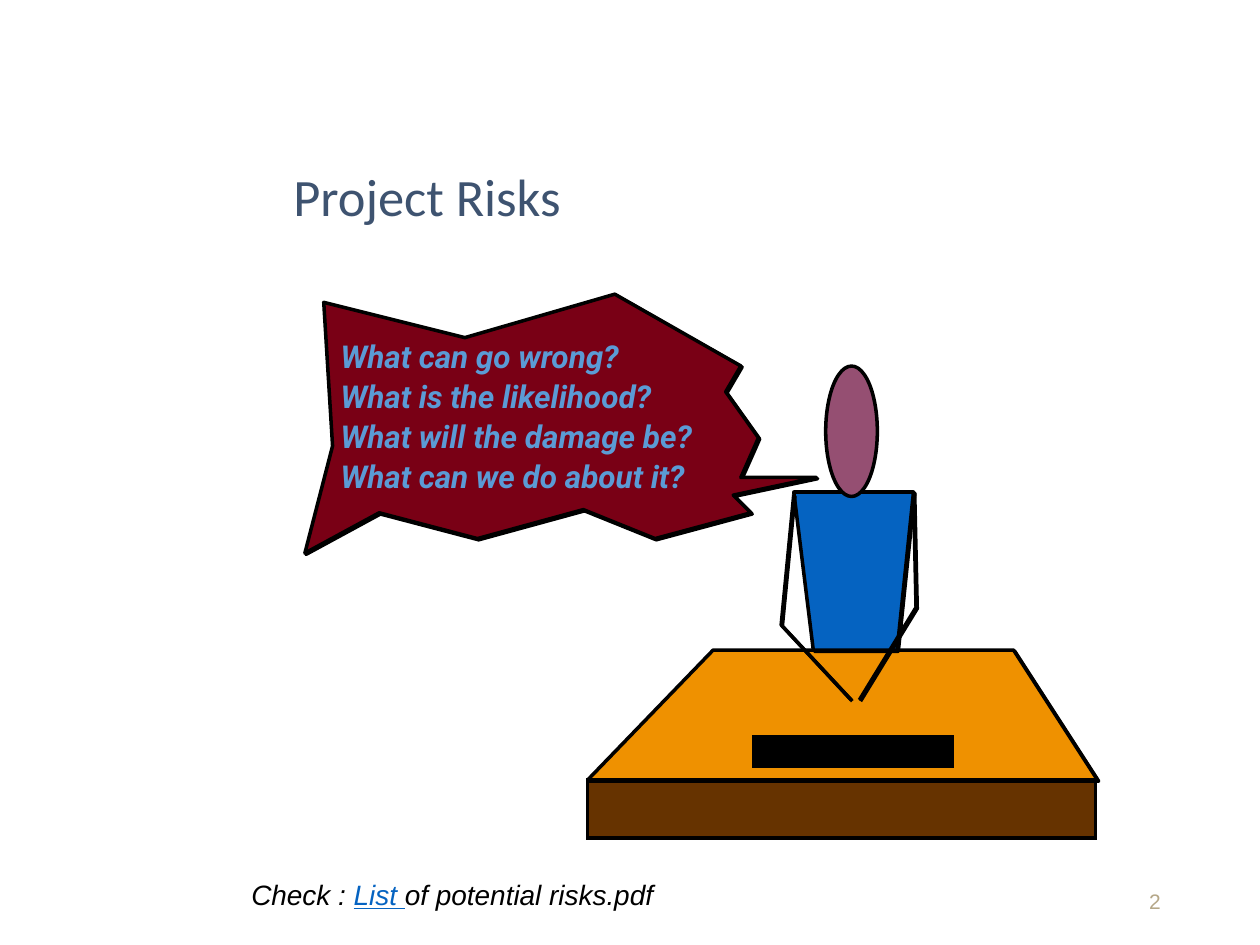
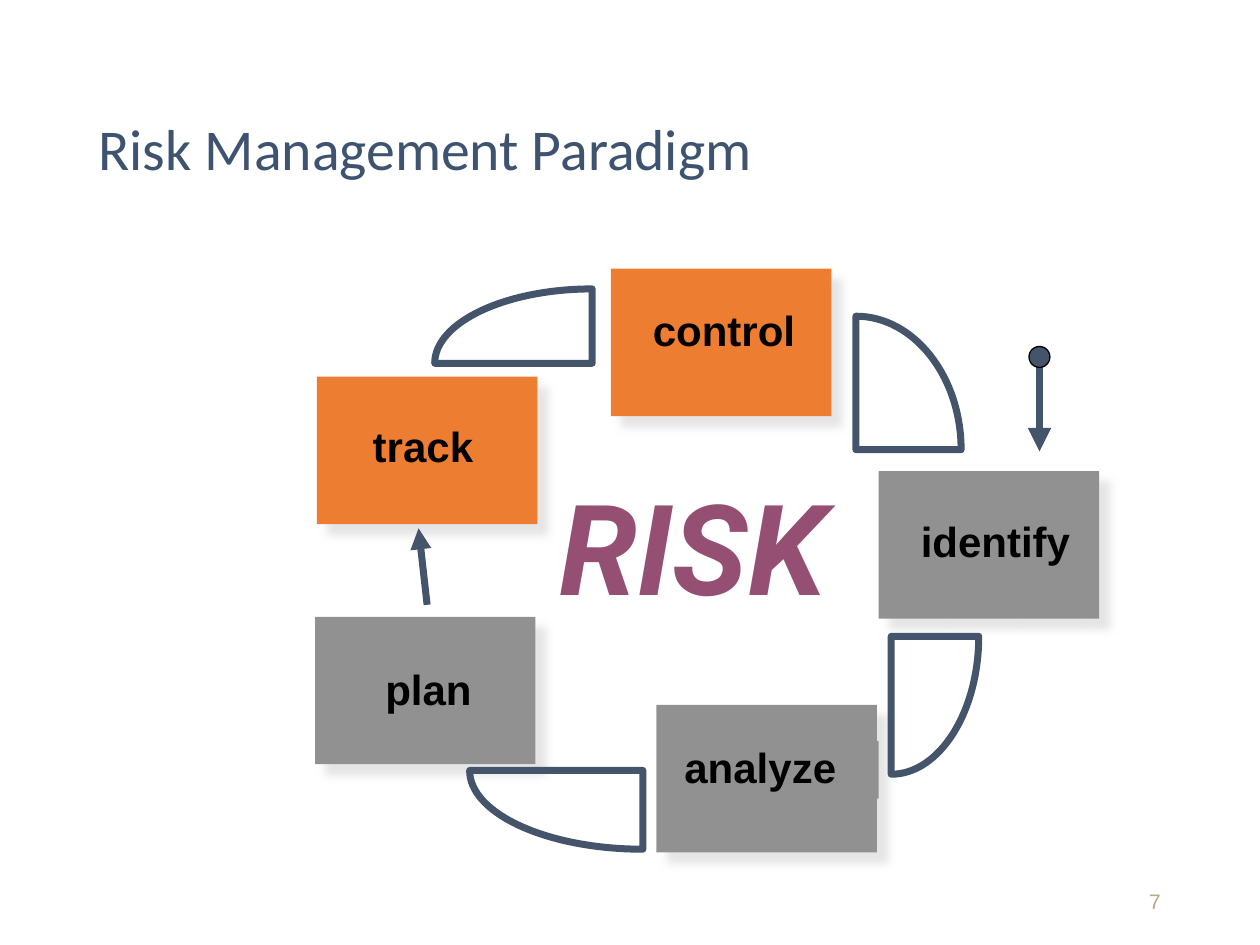
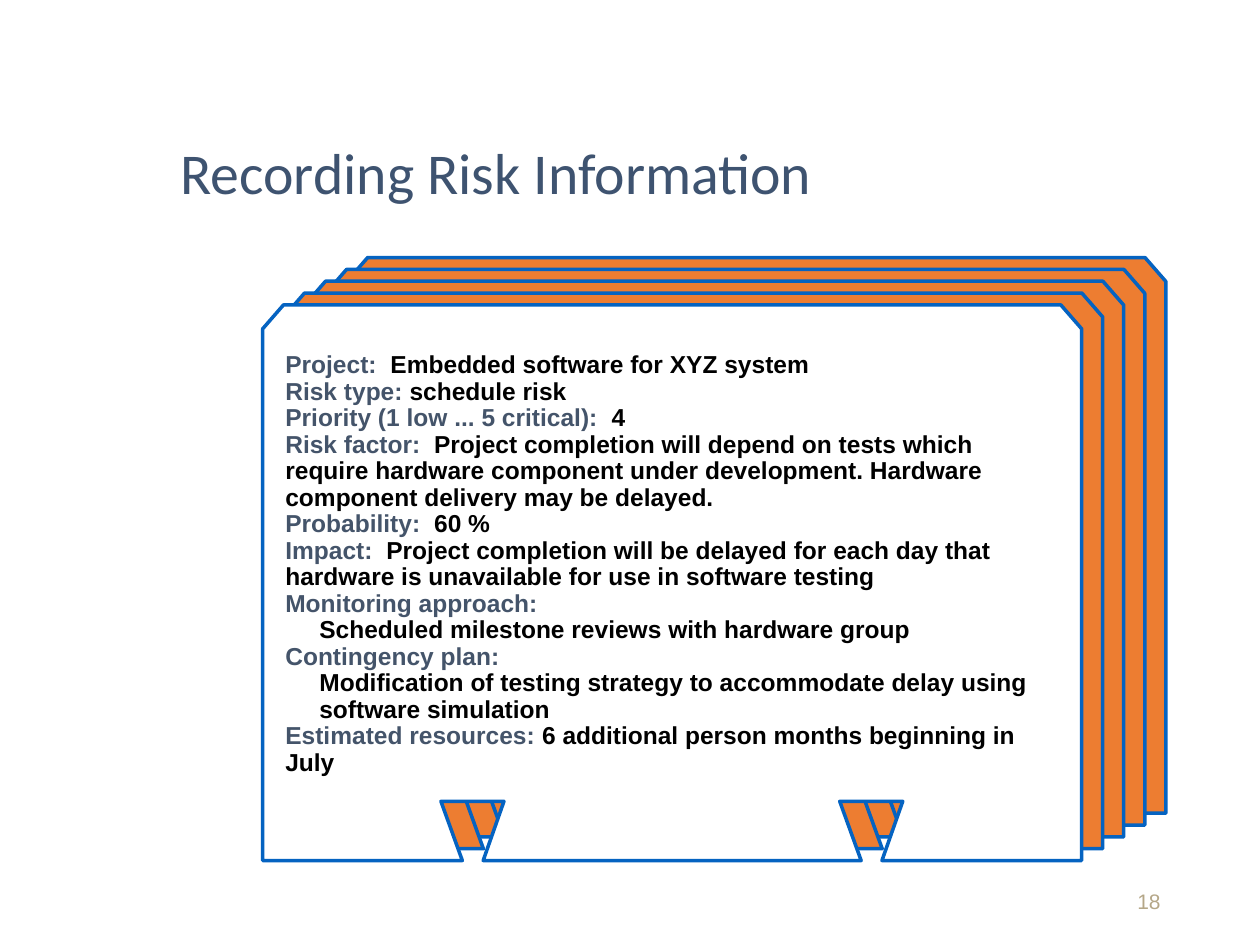
"""Build three slides about project risk: questions, paradigm and record card."""
import dataclasses

import lxml.etree
import pptx
import pptx.dml.color
import pptx.enum.shapes
import pptx.enum.text
import pptx.oxml.ns
import pptx.util


@dataclasses.dataclass(frozen=True)
class Style:
    size: int
    colors: tuple
    font: str = "Arial"
    bold: bool = False
    italic: bool = False
    spacing: float = 1.0


@dataclasses.dataclass(frozen=True)
class Theme:
    black: str = "000000"
    white: str = "FFFFFF"
    blue: str = "0563C1"
    slate: str = "44546A"
    orange: str = "ED7D31"
    gray: str = "919191"
    plum: str = "954F72"
    maroon: str = "790015"
    amber: str = "EF9100"
    brown: str = "663300"
    shade: str = "E7E6E6"
    small_title: Style = Style(30, ("3E5370",), "Calibri", spacing=0.9)
    title: Style = Style(33, ("3E5370",), "Calibri", spacing=0.9)
    number: Style = Style(12, ("B5A788",))
    question: Style = Style(18, ("5B9BD5",), "Roboto", True, True)
    reference: Style = Style(16, ("000000", "0563C1", "000000"), italic=True)
    center: Style = Style(72, ("954F72",), "Roboto", True, True, 0.9)
    label: Style = Style(24, ("000000",), bold=True, spacing=0.9)
    record: Style = Style(14, ("44546A", "000000"), bold=True, spacing=0.9)


theme = Theme()
qualified = pptx.oxml.ns.qn
rgb = pptx.dml.color.RGBColor.from_string
preset = pptx.enum.shapes.MSO_SHAPE
anchors = pptx.enum.text.MSO_ANCHOR
aligns = pptx.enum.text.PP_ALIGN
presentation = pptx.Presentation()
presentation.slide_width = pptx.util.Inches(10)
presentation.slide_height = pptx.util.Inches(7.5)
column = presentation.slide_width / 100
row = presentation.slide_height / 75


def draw(slide, geometry, fill=None, line=None, weight=2, kind=None, closed=True):
    """Draw a preset in a box, or an outline through points, in grid units."""
    if kind is not None:
        left, top, width, height = geometry
        shape = slide.shapes.add_shape(
            kind, round(left * column), round(top * row), round(width * column), round(height * row))
    else:
        points = [(round(x * column), round(y * row)) for x, y in geometry]
        builder = slide.shapes.build_freeform(*points[0])
        builder.add_line_segments(points[1:], close=closed)
        shape = builder.convert_to_shape()
    shape.shadow.inherit = False
    for color, target in ((fill, shape.fill), (line, shape.line.fill)):
        if color:
            target.solid()
            target.fore_color.rgb = rgb(color)
        else:
            target.background()
    if line:
        shape.line.width = pptx.util.Pt(weight)
    return shape


def write(slide, box, lines, style, anchor=anchors.TOP, align=aligns.LEFT):
    """Write lines, each a tuple of pieces that take the style's colours in turn."""
    left, top, width, height = box
    shape = slide.shapes.add_textbox(
        round(left * column), round(top * row), round(width * column), round(height * row))
    frame = shape.text_frame
    frame.word_wrap = True
    frame.vertical_anchor = anchor
    frame.text = "\n".join(pieces[0] for pieces in lines)
    for paragraph, pieces in zip(frame.paragraphs, lines):
        paragraph.alignment = align
        paragraph.line_spacing = style.spacing
        for piece in pieces[1:]:
            paragraph.add_run().text = piece
        for run, color in zip(paragraph.runs, style.colors):
            run.font.name = style.font
            run.font.size = pptx.util.Pt(style.size)
            run.font.bold = style.bold
            run.font.italic = style.italic
            run.font.color.rgb = rgb(color)
    return shape


slides = []
for title, title_box, title_style, number in (
    ("Project Risks", (22.3, 14.2, 58.5, 3.3), theme.small_title, "2"),
    ("Risk Management Paradigm", (6.83, 7.8, 80.4, 8.5), theme.title, "7"),
    ("Recording Risk Information", (13.34, 10.83, 70.8, 6.2), theme.title, "18"),
):
    slide = presentation.slides.add_slide(presentation.slide_layouts[6])
    write(slide, title_box, [(title,)], title_style, anchors.MIDDLE)
    write(slide, (70.6, 69.5, 22.5, 4), [(number,)], theme.number, anchors.MIDDLE, aligns.RIGHT)
    slides.append(slide)
risks_slide, paradigm_slide, record_slide = slides

callout = [
    (64.8, 37.9), (58.2, 39.3), (59.6, 40.7), (52, 42.75), (46.3, 40.45), (37.9, 42.75),
    (30.1, 40.7), (24.2, 43.9), (26.4, 35.4), (25.7, 24), (36.9, 26.8), (48.8, 23.35),
    (58.8, 29.05), (57.6, 31.1), (60.2, 34.75), (58.8, 37.9), (64.5, 37.9),
]
desk_top = [(46.65, 61.9), (56.6, 51.6), (80.45, 51.6), (87.1, 61.9)]
body = [(63, 39.05), (72.5, 39.05), (71.2, 51.6), (64.55, 51.6)]
left_arm = [(63, 39.25), (62, 49.6), (67.55, 55.55)]
right_arm = [(72.5, 39.05), (72.7, 48.2), (68.2, 55.55)]

desk_front = draw(
    risks_slide, (46.64, 61.87, 40.3, 4.65), theme.brown, theme.black, kind=preset.RECTANGLE)
for outline, fill in (
    (callout, theme.maroon), (desk_top, theme.amber), (body, theme.blue),
    (left_arm, None), (right_arm, None),
):
    for offset, layer_fill in ((0.1, None), (0, fill)):
        points = [(x + offset, y + offset) for x, y in outline]
        draw(risks_slide, points, layer_fill, theme.black, closed=fill is not None)
draw(risks_slide, (65.53, 29.05, 4.1, 10.35), theme.plum, theme.black, kind=preset.OVAL)
desk_slot = draw(
    risks_slide, (59.83, 58.45, 15.75, 2.4), theme.black, theme.black, kind=preset.RECTANGLE)
for rectangle in (desk_front, desk_slot):
    lxml.etree.SubElement(
        rectangle.line._get_or_add_ln(), qualified("a:miter"), lim="800000")

for index, question in enumerate((
    "What can go wrong?", "What is the likelihood?",
    "What will the damage be?", "What can we do about it?",
)):
    write(risks_slide, (26.05, 26.26 + 3.17 * index, 33, 4), [(question,)], theme.question)
reference = write(risks_slide, (18.96, 69.15, 35, 3.7),
                  [("Check : ", "List ", "of potential risks.pdf")], theme.reference)
reference.text_frame.paragraphs[0].runs[1].font.underline = True

write(paradigm_slide, (43.4, 38.1, 26.1, 11.9), [("RISK",)], theme.center)
for name, left, top, fill, label_left, label_top, label_width in (
    ("identify", 69.74, 37.4, theme.gray, 72.1, 40.9, 15.2),
    ("control", 48.48, 21.33, theme.orange, 50.83, 24.15, 15.8),
    ("track", 25.15, 29.9, theme.orange, 28.6, 33.35, 15.2),
    ("plan", 25, 48.96, theme.gray, 29.6, 52.6, 11.8),
    ("analyze", 52.1, 55.95, theme.gray, 53.34, 58.8, 16.4),
):
    tile = draw(paradigm_slide, (left, top, 17.5, 11.7), fill, kind=preset.RECTANGLE)
    effects = tile._element.spPr.find(qualified("a:effectLst"))
    shadow = lxml.etree.SubElement(
        effects, qualified("a:outerShdw"),
        blurRad=str(pptx.util.Pt(5)), dist=str(pptx.util.Pt(8.5)), dir="2700000")
    lxml.etree.SubElement(shadow, qualified("a:srgbClr"), val=theme.shade)
    label = write(paradigm_slide, (label_left, label_top, label_width, 4.6), [(name,)], theme.label)
    if name == "analyze":
        label.fill.solid()
        label.fill.fore_color.rgb = rgb(fill)

bend = 0.55
for corner_x, corner_y, radius_x, radius_y in (
    (67.93, 35.7, 8.35, -10.6), (70.73, 50.5, 6.95, 10.95),
    (51.02, 61.15, -13.75, 6.25), (47, 28.83, -12.5, -5.9),
):
    wedge = draw(paradigm_slide, [
        (corner_x + radius_x, corner_y),
        (corner_x + radius_x, corner_y + bend * radius_y),
        (corner_x + bend * radius_x, corner_y + radius_y),
        (corner_x, corner_y + radius_y),
        (corner_x, corner_y),
    ], None, theme.slate, 4)
    segments = list(wedge._element.iter(qualified("a:lnTo")))[:3]
    curve = lxml.etree.Element(qualified("a:cubicBezTo"))
    segments[0].addprevious(curve)
    for segment in segments:
        curve.append(segment[0])
        segment.getparent().remove(segment)

for start_x, start_y, end_x, end_y, weight in (
    (33.9, 48, 33.22, 41.93, 4), (82.5, 28.3, 82.5, 35.83, 4.5),
):
    arrow = paradigm_slide.shapes.add_connector(
        pptx.enum.shapes.MSO_CONNECTOR.STRAIGHT,
        round(start_x * column), round(start_y * row), round(end_x * column), round(end_y * row))
    arrow.line.color.rgb = rgb(theme.slate)
    arrow.line.width = pptx.util.Pt(weight)
    lxml.etree.SubElement(arrow.line._get_or_add_ln(), qualified("a:tailEnd"), type="triangle")
    lxml.etree.SubElement(arrow._element.spPr, qualified("a:effectLst"))
draw(paradigm_slide, (81.67, 27.5, 1.66, 1.66), theme.slate, theme.black, 0.75, preset.OVAL)

card = [
    (0, 1.9), (1.65, 0), (63.35, 0), (65, 1.9), (65, 44.1), (49.15, 44.1), (50.8, 39.4),
    (45.8, 39.4), (47.5, 44.1), (17.5, 44.1), (19.15, 39.4), (14.15, 39.4), (15.85, 44.1),
    (0, 44.1),
]
for depth in range(4, -1, -1):
    points = [(20.85 + 1.67 * depth + x, 24.2 - 0.94 * depth + y) for x, y in card]
    draw(record_slide, points, theme.orange if depth else theme.white, theme.blue)

record = write(record_slide, (21.66, 27.5, 62.5, 39.4), [
    ("Project: ", " Embedded software for XYZ system"),
    ("Risk type:", " schedule risk"),
    ("Priority (1 low ... 5 critical): ", " 4"),
    ("Risk factor: ", " Project completion will depend on tests which require hardware component "
     "under development. Hardware component delivery may be delayed."),
    ("Probability: ", " 60 %"),
    ("Impact: ", " Project completion will be delayed for each day that"),
    ("hardware is unavailable for use in software testing",),
    ("Monitoring approach:",),
    ("Scheduled milestone reviews with hardware group",),
    ("Contingency plan:",),
    ("Modification of testing strategy to accommodate delay using",),
    ("software simulation",),
    ("Estimated resources:", " 6 additional person months beginning in July"),
], theme.record)
for paragraph in record.text_frame.paragraphs:
    if ":" not in paragraph.text:
        paragraph.runs[0].font.color.rgb = rgb(theme.black)
        if not paragraph.text.startswith("hardware"):
            paragraph._p.get_or_add_pPr().set("marL", str(round(2.7 * column)))

presentation.save("out.pptx")
